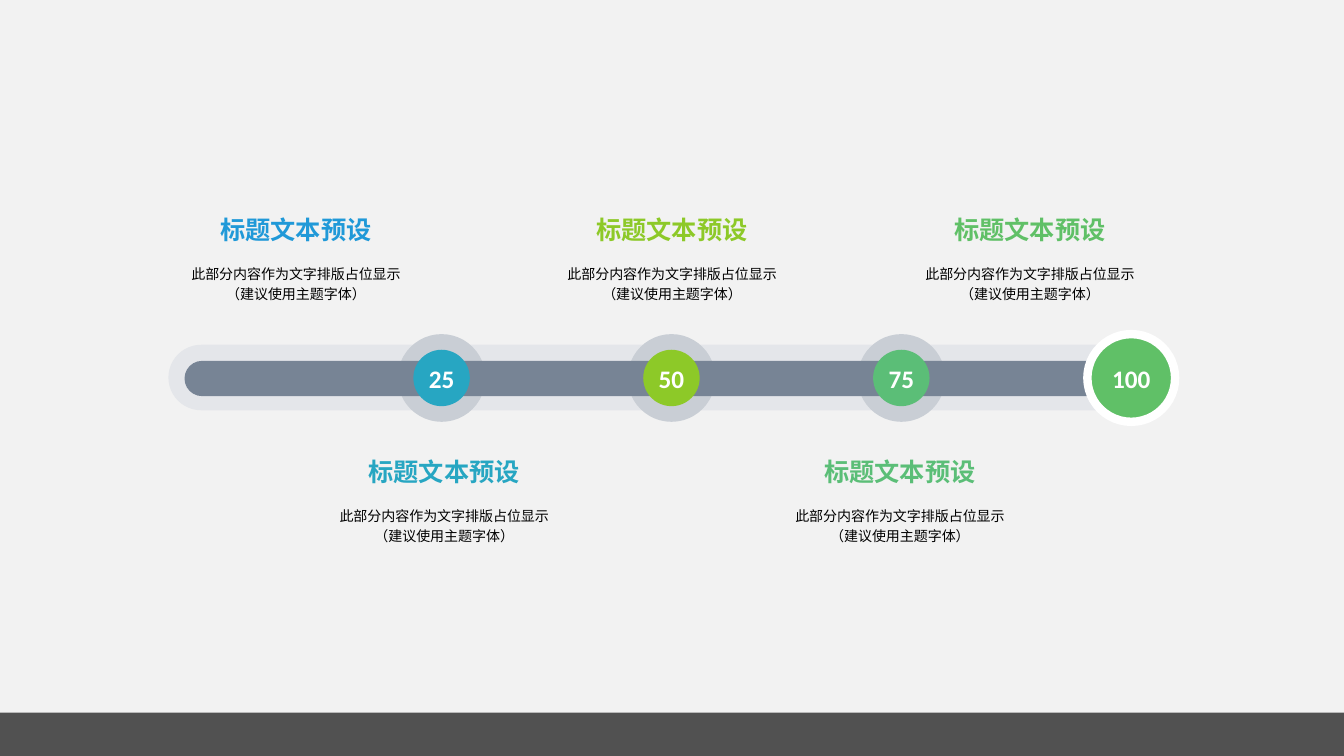
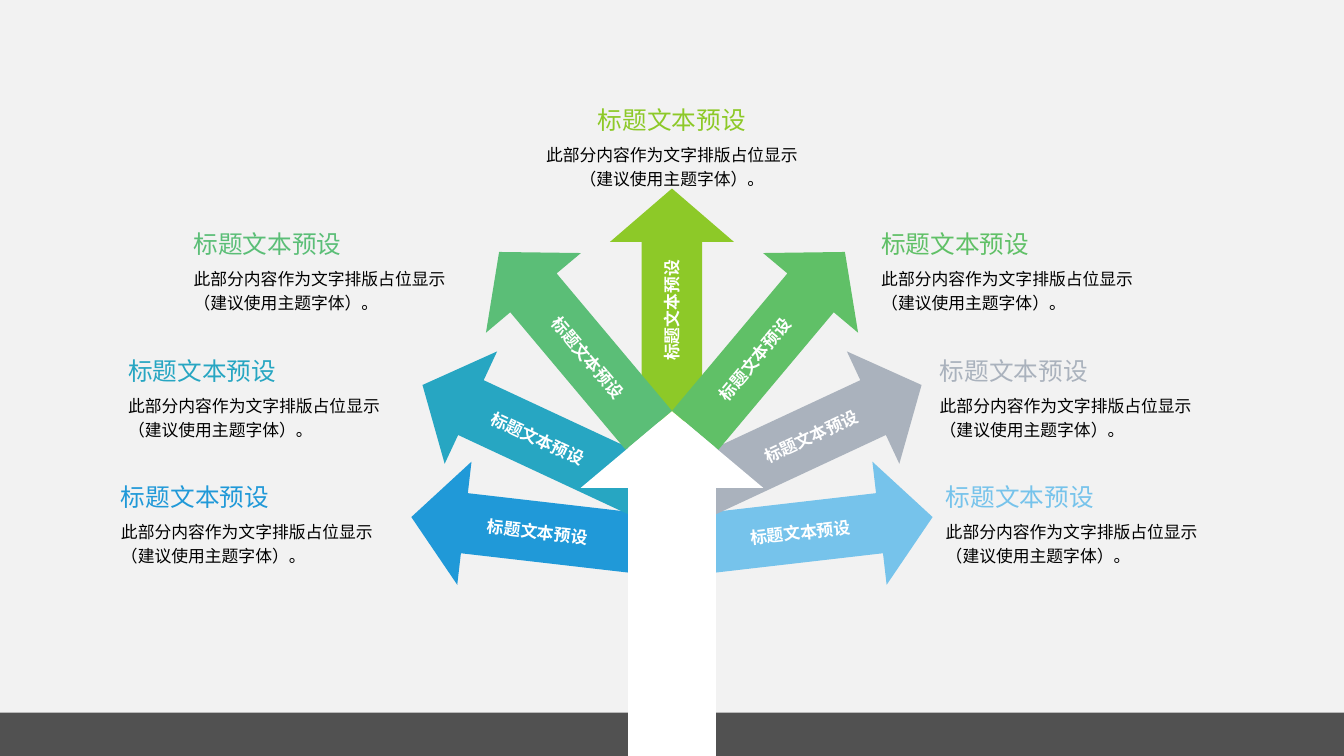
from math import cos, radians, sin

from lxml.etree import SubElement
from pptx import Presentation
from pptx.dml.color import RGBColor
from pptx.enum.lang import MSO_LANGUAGE_ID as Lang
from pptx.enum.shapes import MSO_SHAPE as Preset
from pptx.enum.text import MSO_ANCHOR as Anchor, PP_ALIGN as Align
from pptx.oxml.ns import qn
from pptx.util import Inches, Pt

SLIDE_W, SLIDE_H = 13.33, 7.5
CENTRE_X = SLIDE_W / 2
FONT = "Calibri"
BACKGROUND, BAND, WHITE, BLACK = "F2F2F2", "0D0D0D", "FFFFFF", "000000"
BLUE, TEAL, MINT, LIME, GREEN = "2099D8", "27A6C2", "5BBE77", "8DC928", "60C067"
GREY, SKY = "AAB2BD", "76C3EB"
TRACK, HALO, BAR = "E4E6EA", "C9CED5", "778495"

HEADING = "标题文本预设"
BODY_WRAPPED = "此部分内容作为文字排版占位显示 （建议使用主题字体）"
BODY_BROKEN = "此部分内容作为文字排版占位显示\v（建议使用主题字体）。"


def rgb(hex_color):
    return RGBColor.from_string(hex_color)


def paint(shape, color):
    shape.shadow.inherit = False
    shape.fill.solid()
    shape.fill.fore_color.rgb = rgb(color)
    shape.line.fill.background()
    return shape


def add_preset(slide, preset, left, top, width, height, color):
    box = [Inches(v) for v in (left, top, width, height)]
    return paint(slide.shapes.add_shape(preset, *box), color)


def add_circle(slide, x, y, diameter, color):
    radius = diameter / 2
    return add_preset(slide, Preset.OVAL, x - radius, y - radius,
                      diameter, diameter, color)


def add_pill(slide, left, top, width, height, color):
    pill = add_preset(slide, Preset.ROUNDED_RECTANGLE, left, top, width, height, color)
    pill.adjustments[0] = 0.5


def write(shape, text, size, color, bold=False, align=Align.CENTER,
          anchor=Anchor.MIDDLE, wrap=False, spacing=None):
    frame = shape.text_frame
    frame.margin_left = frame.margin_right = 0
    frame.margin_top = frame.margin_bottom = 0
    frame.word_wrap = wrap
    frame.vertical_anchor = anchor
    frame.text = text
    paragraph = frame.paragraphs[0]
    paragraph.alignment = align
    if spacing:
        paragraph.line_spacing = spacing
    for run in paragraph.runs:
        run.font.name = FONT
        run.font.size = Pt(size)
        run.font.bold = bold
        run.font.color.rgb = rgb(color)
        run.font.language_id = Lang.SIMPLIFIED_CHINESE


def add_text(slide, left, top, width, height, text, size, color, **style):
    box = [Inches(v) for v in (left, top, width, height)]
    label = slide.shapes.add_textbox(*box)
    write(label, text, size, color, **style)
    return label


def new_slide(prs):
    """Blank slide with the shared background and footer band."""
    slide = prs.slides.add_slide(prs.slide_layouts[6])
    slide.background.fill.solid()
    slide.background.fill.fore_color.rgb = rgb(BACKGROUND)
    band = add_preset(slide, Preset.RECTANGLE, 0, 7.07, SLIDE_W, 0.43, BAND)
    tint = band._element.spPr.find(qn("a:solidFill")).find(qn("a:srgbClr"))
    SubElement(tint, qn("a:alpha")).set("val", "70000")
    return slide


# Progress slide
def add_milestone_caption(slide, left, top, color):
    width = 2.21
    add_text(slide, left, top + 0.36, width, 0.68, BODY_WRAPPED, 10, BLACK,
             wrap=True, spacing=1.2)
    add_text(slide, left, top, width, 0.36, HEADING, 18, color, bold=True)


def add_progress_bar(slide, left, middle):
    stops = [("25", TEAL), ("50", LIME), ("75", MINT), ("100", GREEN)]
    stop_x = [left + 2.71 + 2.28 * i for i in range(len(stops))]

    add_pill(slide, left, middle - 0.33, 9.99, 0.65, TRACK)
    for x in stop_x[:-1]:
        add_circle(slide, x, middle, 0.87, HALO)
    add_pill(slide, left + 0.16, middle - 0.17, 9.28, 0.35, BAR)

    for x, (value, color) in zip(stop_x, stops):
        final = value == "100"
        stop = add_circle(slide, x, middle, 0.87 if final else 0.56, color)
        if final:
            stop.line.color.rgb = rgb(WHITE)
            stop.line.width = Pt(6)
        write(stop, value, 18, WHITE, bold=True)


def build_progress_slide(prs):
    slide = new_slide(prs)
    add_progress_bar(slide, 1.67, 3.75)
    above, below = 2.1, 4.5
    for left, top, color in [(1.83, above, BLUE), (3.3, below, TEAL),
                             (5.56, above, LIME), (7.82, below, MINT),
                             (9.11, above, GREEN)]:
        add_milestone_caption(slide, left, top, color)


# Arrow fan slide
def add_arrow(slide, tip, angle, length, color, head=(0.53, 0.615), shaft=0.3):
    """Arrow from its tip backwards; head is (length, half width)."""
    ux, uy = cos(radians(angle)), sin(radians(angle))
    depth, wing = head
    outline = [(0, 0), (depth, wing), (depth, shaft), (length, shaft),
               (length, -shaft), (depth, -shaft), (depth, -wing)]
    points = [(Inches(tip[0] + along * ux - across * uy),
               Inches(tip[1] + along * uy + across * ux))
              for along, across in outline]
    builder = slide.shapes.build_freeform(*points[0])
    builder.add_line_segments(points[1:], close=True)
    paint(builder.convert_to_shape(), color)


def add_arrow_label(slide, tip, angle, distance, rotation):
    width, height = 1.37, 0.39
    x = tip[0] + distance * cos(radians(angle))
    y = tip[1] + distance * sin(radians(angle))
    label = add_text(slide, x - width / 2, y - height / 2, width, height,
                     HEADING, 12, WHITE, bold=True)
    label.rotation = rotation


def add_arrow_caption(slide, left, top, color, align):
    width = 2.72
    add_text(slide, left, top + 0.44, width, 0.49, BODY_BROKEN, 12, BLACK,
             align=align, wrap=True, spacing=1.2)
    add_text(slide, left, top, width, 0.38, HEADING, 17.6, color,
             align=align, anchor=Anchor.BOTTOM)


def build_arrow_fan_slide(prs):
    slide = new_slide(prs)

    # Upright arrow
    top_tip = (CENTRE_X, 1.87)
    add_arrow_caption(slide, CENTRE_X - 1.36, 0.95, LIME, Align.CENTER)
    add_arrow(slide, top_tip, 90, 2.31, LIME)
    add_arrow_label(slide, top_tip, 90, 1.21, 270)

    # Mirrored pairs: tip, angle, length, caption top,
    # then colour, caption left and label distance for each side
    pairs = [
        ((4.08, 5.13), 6.6, 2.31, 4.69, (BLUE, 1.2, 1.26), (SKY, 9.38, 1.32)),
        ((4.19, 3.82), 25, 2.46, 3.44, (TEAL, 1.27, 1.26), (GREY, 9.32, 1.21)),
        ((4.95, 2.5), 50, 2.31, 2.18, (MINT, 1.92, 1.37), (GREEN, 8.74, 1.39)),
    ]
    for (x, y), slope, length, top, left_side, right_side in pairs:
        for tip, angle, rotation, side in [
                ((x, y), slope, slope, left_side),
                ((SLIDE_W - x, y), 180 - slope, 360 - slope, right_side)]:
            color, caption_left, distance = side
            add_arrow_caption(slide, caption_left, top, color, Align.LEFT)
            add_arrow(slide, tip, angle, length, color)
            add_arrow_label(slide, tip, angle, distance, rotation)

    # White trunk
    add_arrow(slide, (CENTRE_X, 4.08), 90, SLIDE_H - 4.08, WHITE,
              head=(0.76, 0.905), shaft=0.435)


def main():
    prs = Presentation()
    prs.slide_width, prs.slide_height = Inches(SLIDE_W), Inches(SLIDE_H)
    build_progress_slide(prs)
    build_arrow_fan_slide(prs)
    prs.save("out.pptx")


if __name__ == "__main__":
    main()
